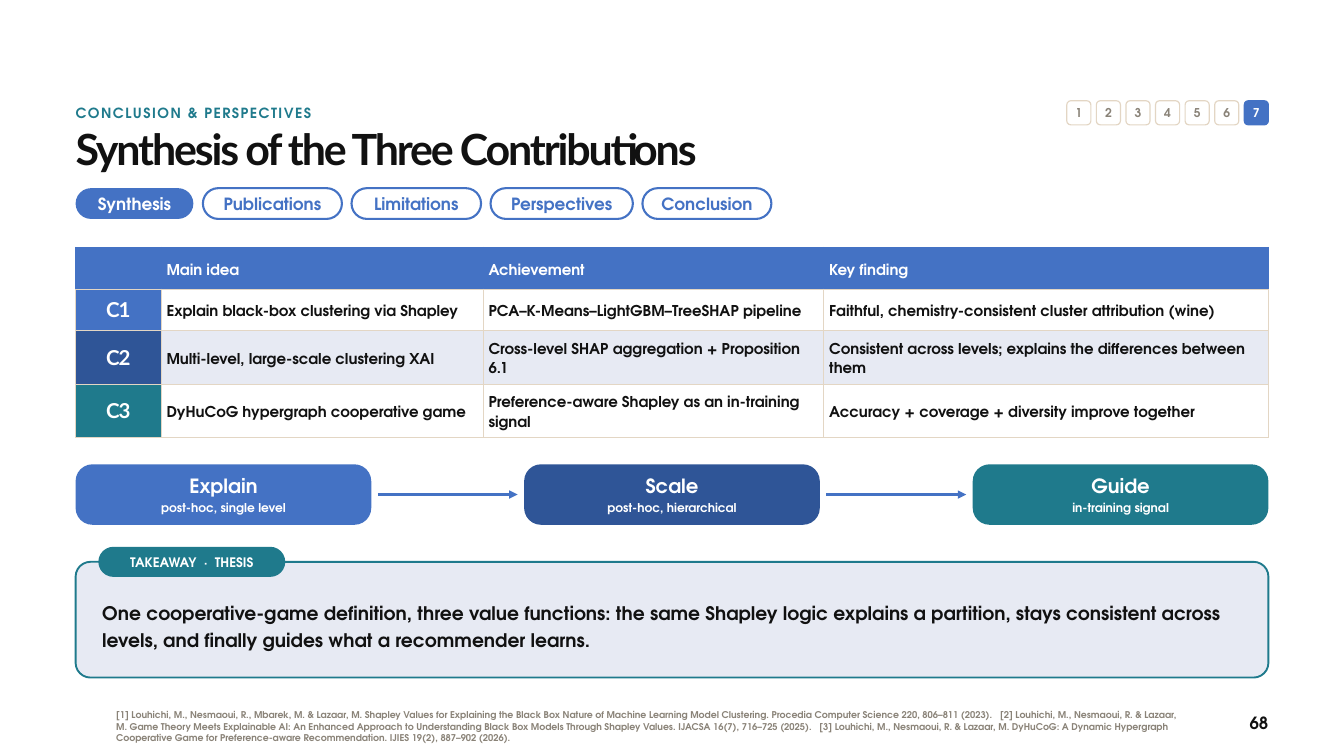
from lxml.etree import SubElement
from pptx import Presentation
from pptx.dml.color import RGBColor
from pptx.enum.shapes import MSO_CONNECTOR, MSO_SHAPE
from pptx.enum.text import MSO_ANCHOR, PP_ALIGN
from pptx.oxml.ns import qn
from pptx.util import Pt

color = RGBColor.from_string
BLUE, NAVY, TEAL, PALE = "4472C4", "2F5597", "1F7A8C", "E7EAF3"
INK, GREY, SAND, WHITE = "111111", "8A8378", "E3D6C4", "FFFFFF"
LEFT, WIDTH = 81, 1278
RIGHT = LEFT + WIDTH

presentation = Presentation()
presentation.slide_width, presentation.slide_height = Pt(1440), Pt(810)
slide = presentation.slides.add_slide(presentation.slide_layouts[6])


def add_box(left, top, width, height, corner=None, fill=None, line=None, weight=2.25):
    """Add a rounded box, or a plain text box when no corner is given."""
    place = Pt(left), Pt(top), Pt(width), Pt(height)
    if corner is None:
        return slide.shapes.add_textbox(*place)
    shape = slide.shapes.add_shape(MSO_SHAPE.ROUNDED_RECTANGLE, *place)
    shape.adjustments[0] = corner
    shape.shadow.inherit = False
    if fill:
        shape.fill.solid()
        shape.fill.fore_color.rgb = color(fill)
    else:
        shape.fill.background()
    if line:
        shape.line.color.rgb = color(line)
        shape.line.width = Pt(weight)
    else:
        shape.line.fill.background()
    return shape


def write(frame, text, size, leading, ink=INK, font="TeX Gyre Adventor", align=PP_ALIGN.LEFT,
          anchor=MSO_ANCHOR.MIDDLE, margins=(0, 0), tracking=None, before=None, new=False):
    frame.word_wrap = True
    frame.vertical_anchor = anchor
    frame.margin_left = frame.margin_right = Pt(margins[0])
    frame.margin_top = frame.margin_bottom = Pt(margins[1])
    paragraph = frame.add_paragraph() if new else frame.paragraphs[0]
    paragraph.alignment = align
    paragraph.line_spacing = Pt(leading)
    if before:
        paragraph.space_before = Pt(before)
    run = paragraph.add_run()
    run.text = text
    run.font.name, run.font.size, run.font.bold = font, Pt(size), True
    run.font.color.rgb = color(ink)
    if tracking:
        run._r.get_or_add_rPr().set("spc", str(round(tracking * 100)))


# References and page number
references = (
    "[1] Louhichi, M., Nesmaoui, R., Mbarek, M. & Lazaar, M. Shapley Values for Explaining the "
    "Black Box Nature of Machine Learning Model Clustering. Procedia Computer Science 220, "
    "806–811 (2023).   [2] Louhichi, M., Nesmaoui, R. & Lazaar, M. Game Theory Meets Explainable "
    "AI: An Enhanced Approach to Understanding Black Box Models Through Shapley Values. IJACSA "
    "16(7), 716–725 (2025).   [3] Louhichi, M., Nesmaoui, R. & Lazaar, M. DyHuCoG: A Dynamic "
    "Hypergraph Cooperative Game for Preference-aware Recommendation. IJIES 19(2), 887–902 (2026).")
write(add_box(124.5, 756, 1141.5, 44.6).text_frame, references, 10, 12, ink=GREY)
write(add_box(1273, 763, 86, 26).text_frame, "68", 18, 22,
      align=PP_ALIGN.RIGHT, anchor=MSO_ANCHOR.TOP)

# Section label and title
write(add_box(LEFT, 109.5, 1019, 26).text_frame, "CONCLUSION & PERSPECTIVES", 15, 20,
      ink=TEAL, anchor=MSO_ANCHOR.TOP, tracking=1.6)
write(add_box(LEFT, 135.5, WIDTH, 57.6).text_frame, "Synthesis of the Three Contributions",
      46, 50.6, font="Lato", anchor=MSO_ANCHOR.TOP, tracking=-2.3)

# Chapter badges, the last one active
badge_size, badge_step, badge_count = 25.8, 31.7, 7
for number in range(1, badge_count + 1):
    active = number == badge_count
    badge = add_box(RIGHT - badge_size - badge_step * (badge_count - number), 108,
                    badge_size, badge_size, corner=0.167, fill=BLUE if active else WHITE,
                    line=BLUE if active else SAND, weight=1.25)
    write(badge.text_frame, str(number), 13, 15, ink=WHITE if active else GREY,
          align=PP_ALIGN.CENTER)

# Section tabs, the first one active
tab_left = LEFT
for name, tab_width in [("Synthesis", 126.2), ("Publications", 149), ("Limitations", 138.8),
                        ("Perspectives", 152.5), ("Conclusion", 138.2)]:
    active = name == "Synthesis"
    tab = add_box(tab_left, 201.6, tab_width, 33, corner=0.5,
                  fill=BLUE if active else None, line=None if active else BLUE)
    write(tab.text_frame, name, 18, 21.6, ink=WHITE if active else BLUE,
          align=PP_ALIGN.CENTER, margins=(3.6, 0))
    tab_left += tab_width + 10.2

# Contributions table
rows = [
    ("", "Main idea", "Achievement", "Key finding"),
    ("C1", "Explain black-box clustering via Shapley", "PCA–K-Means–LightGBM–TreeSHAP pipeline",
     "Faithful, chemistry-consistent cluster attribution (wine)"),
    ("C2", "Multi-level, large-scale clustering XAI",
     "Cross-level SHAP aggregation + Proposition 6.1",
     "Consistent across levels; explains the differences between them"),
    ("C3", "DyHuCoG hypergraph cooperative game",
     "Preference-aware Shapley as an in-training signal",
     "Accuracy + coverage + diversity improve together"),
]
row_fills = [(BLUE, BLUE), (BLUE, WHITE), (NAVY, PALE), (TEAL, WHITE)]
table = slide.shapes.add_table(4, 4, Pt(LEFT), Pt(265), Pt(WIDTH), Pt(203.6)).table
table.first_row = table.horz_banding = False
for column, column_width in zip(table.columns, (91.5, 345, 365, 476.5)):
    column.width = Pt(column_width)
for row, row_height in zip(table.rows, (44.7, 44.7, 57.1, 57.1)):
    row.height = Pt(row_height)
for i, texts in enumerate(rows):
    for j, text in enumerate(texts):
        cell = table.cell(i, j)
        properties = cell._tc.get_or_add_tcPr()
        for side in ("a:lnL", "a:lnR", "a:lnT", "a:lnB"):
            border = SubElement(properties, qn(side), w=str(Pt(1)))
            SubElement(SubElement(border, qn("a:solidFill")), qn("a:srgbClr"),
                       val=SAND if i else BLUE)
        cell.fill.solid()
        cell.fill.fore_color.rgb = color(row_fills[i][min(j, 1)])
        cell.vertical_anchor = MSO_ANCHOR.MIDDLE
        cell.margin_left = cell.margin_right = Pt(6)
        cell.margin_top = cell.margin_bottom = Pt(3.75)
        if not text:
            continue
        if j == 0:
            style = dict(size=22, leading=26, ink=WHITE, font="Lato",
                         align=PP_ALIGN.CENTER, tracking=-1.1)
        else:
            style = dict(size=16, leading=20.8, ink=INK if i else WHITE)
        write(cell.text_frame, text, margins=(6, 3.75),
              **style)

# Explain, scale, guide: cards joined by arrows
card_width, card_height, card_top = 316.8, 64.8, 497.5
card_step = (WIDTH - card_width) / 2
arrow_gap = 7
cards = [("Explain", "post-hoc, single level", BLUE), ("Scale", "post-hoc, hierarchical", NAVY),
         ("Guide", "in-training signal", TEAL)]
for i, (name, detail, fill) in enumerate(cards):
    card_left = LEFT + i * card_step
    if i:
        middle = Pt(card_top + card_height / 2)
        arrow = slide.shapes.add_connector(
            MSO_CONNECTOR.STRAIGHT, Pt(card_left - card_step + card_width + arrow_gap), middle,
            Pt(card_left - arrow_gap), middle)
        arrow.line.color.rgb = color(BLUE)
        arrow.line.width = Pt(3)
        SubElement(arrow.line._get_or_add_ln(), qn("a:tailEnd"), type="triangle")
        SubElement(arrow._element.spPr, qn("a:effectLst"))
    card = add_box(card_left, card_top, card_width, card_height, corner=0.278, fill=fill)
    write(card.text_frame, name, 21, 24.1, ink=WHITE, align=PP_ALIGN.CENTER)
    write(card.text_frame, detail, 13, 15.6, ink=WHITE, align=PP_ALIGN.CENTER,
          before=3, new=True)

# Takeaway panel with its label
add_box(LEFT, 602, WIDTH, 124, corner=0.128, fill=PALE, line=TEAL, weight=2)
label = add_box(106.5, 587, 198, 30, corner=0.5, fill=TEAL, line=TEAL)
write(label.text_frame, "TAKEAWAY  ·  THESIS", 14, 16.8, ink=WHITE,
      align=PP_ALIGN.CENTER, margins=(3.6, 0))
write(add_box(109.5, 623.5, 1220.5, 91.5).text_frame,
      "One cooperative-game definition, three value functions: the same Shapley logic explains "
      "a partition, stays consistent across levels, and finally guides what a recommender learns.",
      20, 28)

presentation.save("out.pptx")
